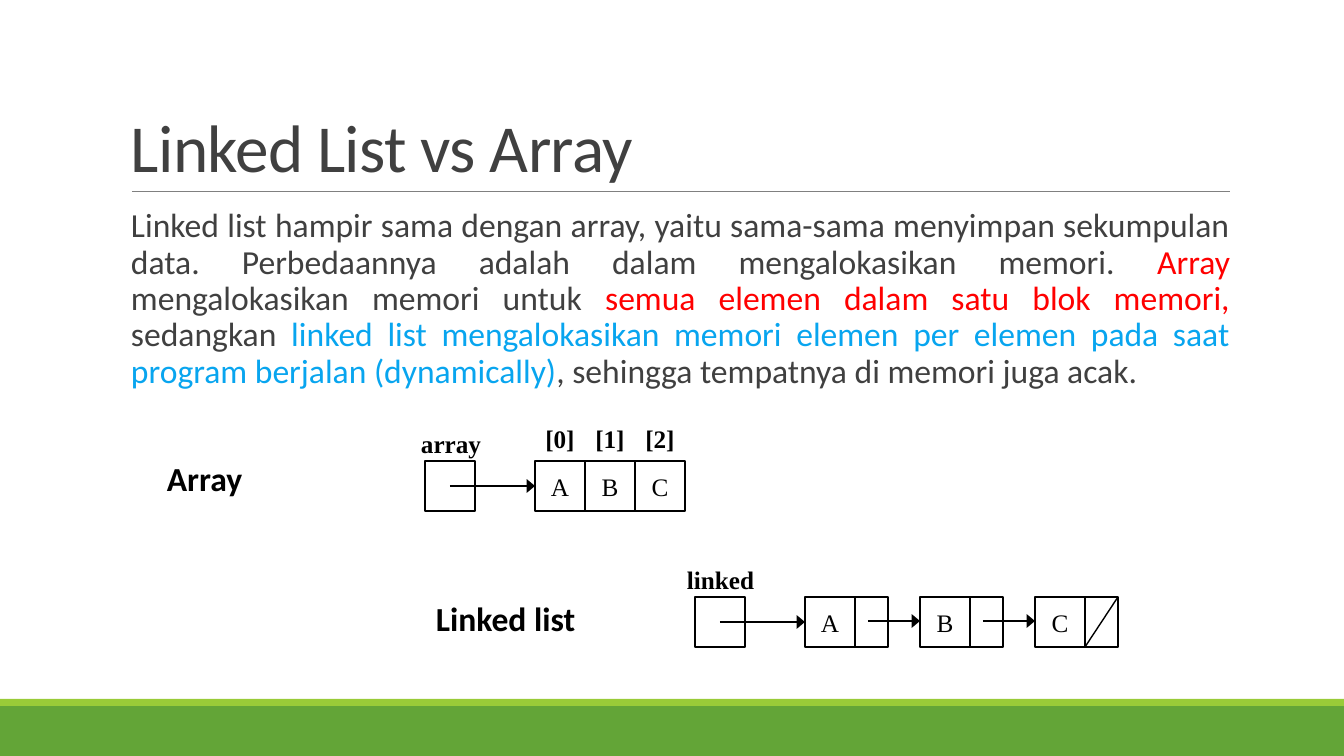
from dataclasses import dataclass
from typing import Any, Optional

import lxml.etree
import pptx
import pptx.dml.color
import pptx.enum.shapes
import pptx.enum.text
import pptx.oxml.ns
import pptx.util

RGBColor = pptx.dml.color.RGBColor
Align = pptx.enum.text.PP_ALIGN
Anchor = pptx.enum.text.MSO_ANCHOR

EMU_PER_PIXEL = 914400 / 100.8
BLACK = RGBColor(0, 0, 0)
GRAY = RGBColor(0x80, 0x80, 0x80)
DARK_GRAY = RGBColor(0x40, 0x40, 0x40)
RED = RGBColor(0xFF, 0, 0)
BLUE = RGBColor(0x08, 0xA5, 0xEF)
GREEN = RGBColor(0x63, 0xA5, 0x37)
LIME = RGBColor(0x99, 0xCB, 0x38)
SANS = "Calibri"
SERIF = "Times New Roman"

CELL = 50
INDEX_WIDTH = 60
POINTER_WIDTH = 33
NODE_PITCH = 115
VALUES = ("A", "B", "C")


@dataclass(frozen=True)
class Box:
    """A rectangle in pixels."""
    left: int
    top: int
    width: int
    height: int

    def emu(self) -> list[int]:
        """Return left, top, width and height in EMU."""
        return [px(n) for n in (self.left, self.top, self.width, self.height)]


@dataclass(frozen=True)
class Run:
    """A stretch of text in one colour."""
    text: str
    color: RGBColor = BLACK


@dataclass(frozen=True)
class Diagram:
    """The captions and the reference cell that open a diagram."""
    heading: str
    heading_box: Box
    variable: str
    variable_box: Box
    reference: Box
    target: int


ARRAY = Diagram("Array", Box(157, 453, 108, 50), "array", Box(411, 423, 81, 40),
                Box(425, 461, CELL, CELL), 535)
LINKED = Diagram("Linked list", Box(426, 593, 186, 50), "linked", Box(677, 559, 88, 40),
                 Box(695, 597, CELL, CELL), 805)

BODY = (
    Run("Linked list hampir sama dengan array, yaitu sama-sama menyimpan sekumpulan data. "
        "Perbedaannya adalah dalam mengalokasikan memori. ", DARK_GRAY),
    Run("Array ", RED),
    Run("mengalokasikan memori untuk ", DARK_GRAY),
    Run("semua elemen dalam satu blok memori,", RED),
    Run(" sedangkan ", DARK_GRAY),
    Run("linked list mengalokasikan memori elemen per elemen pada saat program berjalan "
        "(dynamically)", BLUE),
    Run(", sehingga tempatnya di memori juga acak.", DARK_GRAY),
)


def px(pixels: float) -> int:
    """Convert pixels to EMU."""
    return round(pixels * EMU_PER_PIXEL)


def write_text(shape: Any, *runs: Run, size: int = 18, font: str = SERIF, bold: bool = False,
               align: Any = Align.LEFT, anchor: Any = Anchor.TOP, wrap: bool = False,
               line_spacing: float = 1.0, tracking: int = 0) -> Any:
    """Fill a shape with one formatted paragraph and return the paragraph."""
    frame = shape.text_frame
    frame.word_wrap = wrap
    frame.vertical_anchor = anchor
    paragraph = frame.paragraphs[0]
    paragraph.alignment = align
    paragraph.line_spacing = line_spacing
    for part in runs:
        run = paragraph.add_run()
        run.text = part.text
        run.font.size = pptx.util.Pt(size)
        run.font.name = font
        run.font.bold = bold
        run.font.color.rgb = part.color
        if tracking:
            run.font._element.set("spc", str(tracking))
    return paragraph


def add_rectangle(shapes: Any, box: Box, fill: Optional[RGBColor] = None) -> Any:
    """Add a filled band, or an outlined cell when no fill is given."""
    shape = shapes.add_shape(pptx.enum.shapes.MSO_SHAPE.RECTANGLE, *box.emu())
    shape.shadow.inherit = False
    if fill is None:
        shape.fill.background()
        shape.line.color.rgb = BLACK
        shape.line.width = pptx.util.Pt(1)
    else:
        shape.fill.solid()
        shape.fill.fore_color.rgb = fill
        shape.line.fill.background()
    return shape


def add_value_cell(shapes: Any, left: int, top: int, value: str) -> None:
    """Add a square cell holding a centred value."""
    cell = add_rectangle(shapes, Box(left, top, CELL, CELL))
    write_text(cell, Run(value), align=Align.CENTER, anchor=Anchor.MIDDLE)


def add_label(shapes: Any, box: Box, text: str, size: int = 18, font: str = SERIF,
              align: Any = Align.LEFT) -> None:
    """Add a bold caption on one line."""
    label = shapes.add_textbox(*box.emu())
    write_text(label, Run(text), size=size, font=font, bold=True, align=align)
    label.text_frame.auto_size = pptx.enum.text.MSO_AUTO_SIZE.SHAPE_TO_FIT_TEXT


def add_line(shapes: Any, start: tuple[int, int], end: tuple[int, int],
             color: RGBColor = BLACK, width: float = 1.5, arrow: bool = False) -> None:
    """Add a straight line, with an arrowhead at its end if wanted."""
    line = shapes.add_connector(pptx.enum.shapes.MSO_CONNECTOR.STRAIGHT,
                                *map(px, start + end))
    line.line.color.rgb = color
    line.line.width = pptx.util.Pt(width)
    if arrow:
        lxml.etree.SubElement(line.line._get_or_add_ln(), pptx.oxml.ns.qn("a:tailEnd"),
                              type="triangle", w="lg", len="med")
    lxml.etree.SubElement(line._element.spPr, pptx.oxml.ns.qn("a:effectLst"))


def start_diagram(slide: Any, diagram: Diagram) -> Any:
    """Draw captions, reference cell and first arrow; return the group's shapes."""
    shapes = slide.shapes.add_group_shape().shapes
    reference = diagram.reference
    add_label(shapes, diagram.heading_box, diagram.heading, size=24, font=SANS)
    add_label(shapes, diagram.variable_box, diagram.variable)
    add_rectangle(shapes, reference)
    middle = reference.top + CELL // 2
    add_line(shapes, (reference.left + CELL // 2, middle), (diagram.target, middle), arrow=True)
    return shapes


def draw_array(slide: Any) -> None:
    """Draw the array as one block of indexed cells."""
    shapes = start_diagram(slide, ARRAY)
    for index, value in enumerate(VALUES):
        left = ARRAY.target + index * CELL
        index_left = left + (CELL - INDEX_WIDTH) // 2
        add_label(shapes, Box(index_left, 418, INDEX_WIDTH, 40), f"[{index}]",
                  align=Align.CENTER)
        add_value_cell(shapes, left, ARRAY.reference.top, value)


def draw_linked_list(slide: Any) -> None:
    """Draw the linked list as nodes joined by pointers, the last one null."""
    shapes = start_diagram(slide, LINKED)
    top = LINKED.reference.top
    for index, value in enumerate(VALUES):
        left = LINKED.target + index * NODE_PITCH
        pointer = left + CELL
        add_value_cell(shapes, left, top, value)
        add_rectangle(shapes, Box(pointer, top, POINTER_WIDTH, CELL))
        if index < len(VALUES) - 1:
            add_line(shapes, (pointer + 13, top + 24), (left + NODE_PITCH, top + 24), arrow=True)
        else:
            add_line(shapes, (pointer, top + CELL), (pointer + POINTER_WIDTH, top), width=1)


def draw_text(slide: Any) -> None:
    """Draw the title, its rule and the body paragraph."""
    add_line(slide.shapes, (132, 191), (1230, 191), color=GRAY, width=0.5)
    title = slide.shapes.add_textbox(*Box(121, 31, 1109, 160).emu())
    write_text(title, Run("Linked List vs Array", DARK_GRAY), size=48, font=SANS,
               anchor=Anchor.BOTTOM, wrap=True, line_spacing=0.85, tracking=-50)
    body = slide.shapes.add_textbox(*Box(121, 204, 1109, 443).emu())
    body.text_frame.margin_left = body.text_frame.margin_right = 0
    paragraph = write_text(body, *BODY, size=24, font=SANS, align=Align.JUSTIFY,
                           wrap=True, line_spacing=0.9)
    paragraph.space_before = pptx.util.Pt(12)
    paragraph.space_after = pptx.util.Pt(2)
    paragraph._p.get_or_add_pPr().set("marL", str(px(10)))


presentation = pptx.Presentation()
presentation.slide_width = px(1344)
presentation.slide_height = px(756)
slide = presentation.slides.add_slide(presentation.slide_layouts[6])
add_rectangle(slide.shapes, Box(0, 706, 1344, 50), GREEN)
add_rectangle(slide.shapes, Box(0, 699, 1344, 7), LIME)
draw_text(slide)
draw_array(slide)
draw_linked_list(slide)
presentation.save("out.pptx")
